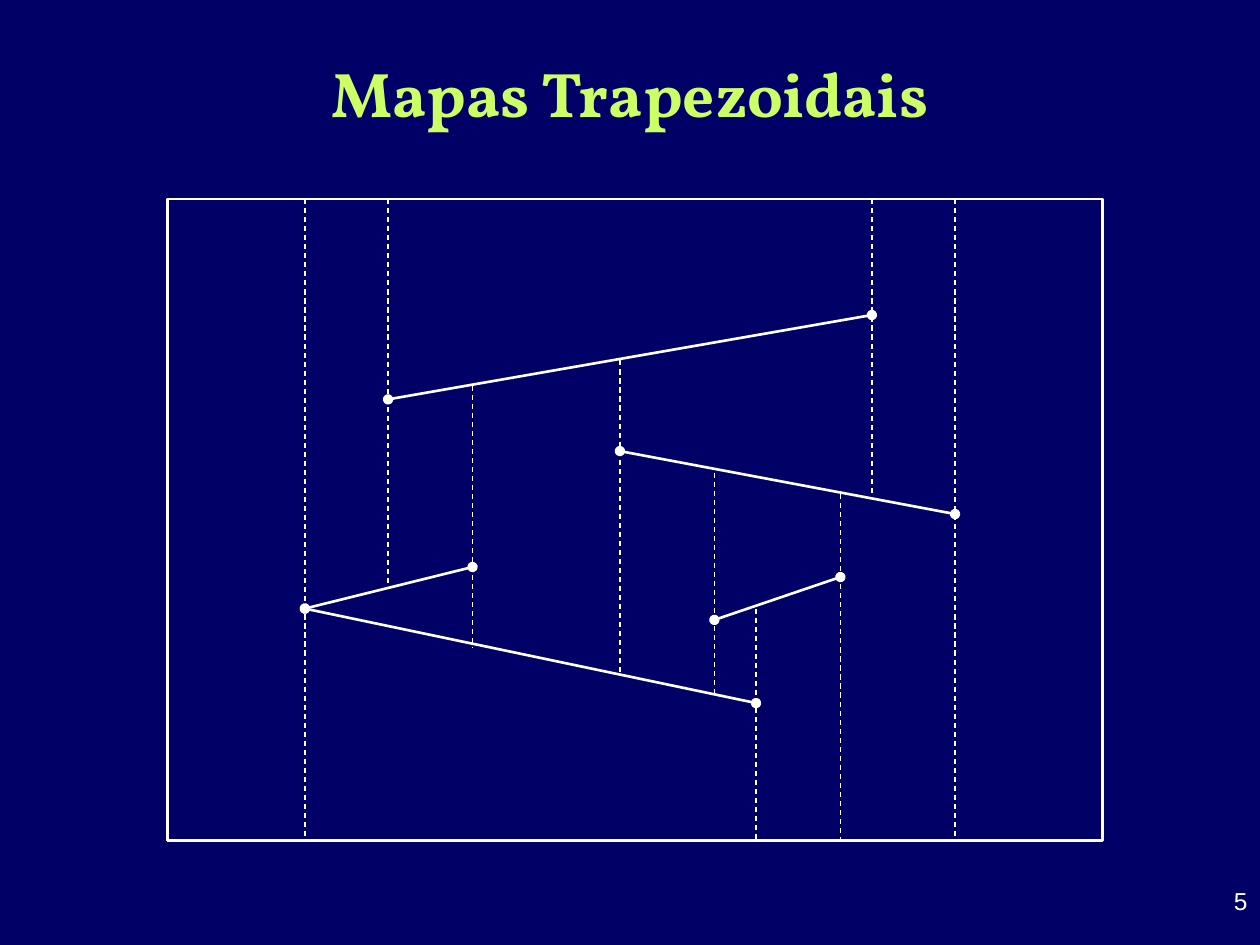
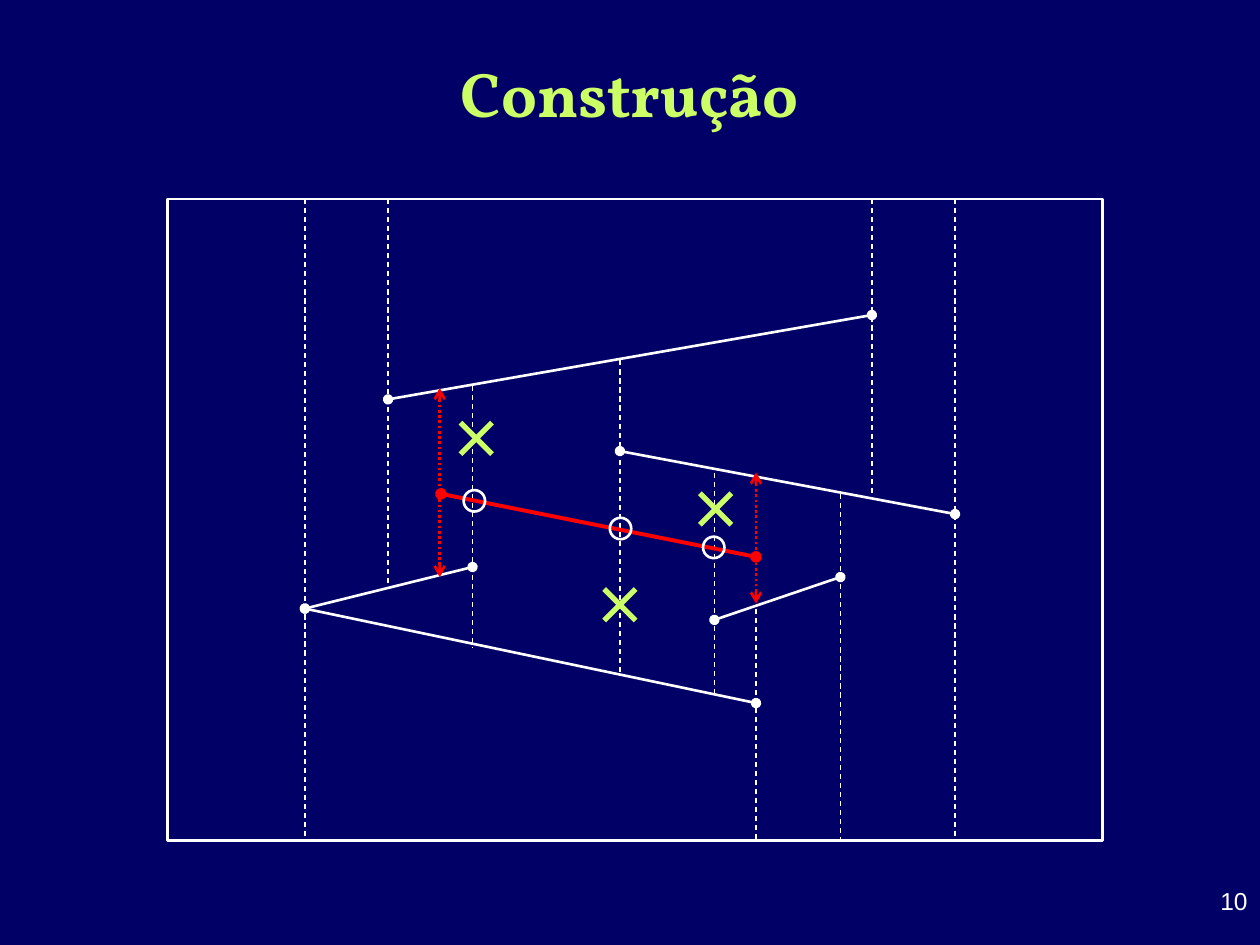
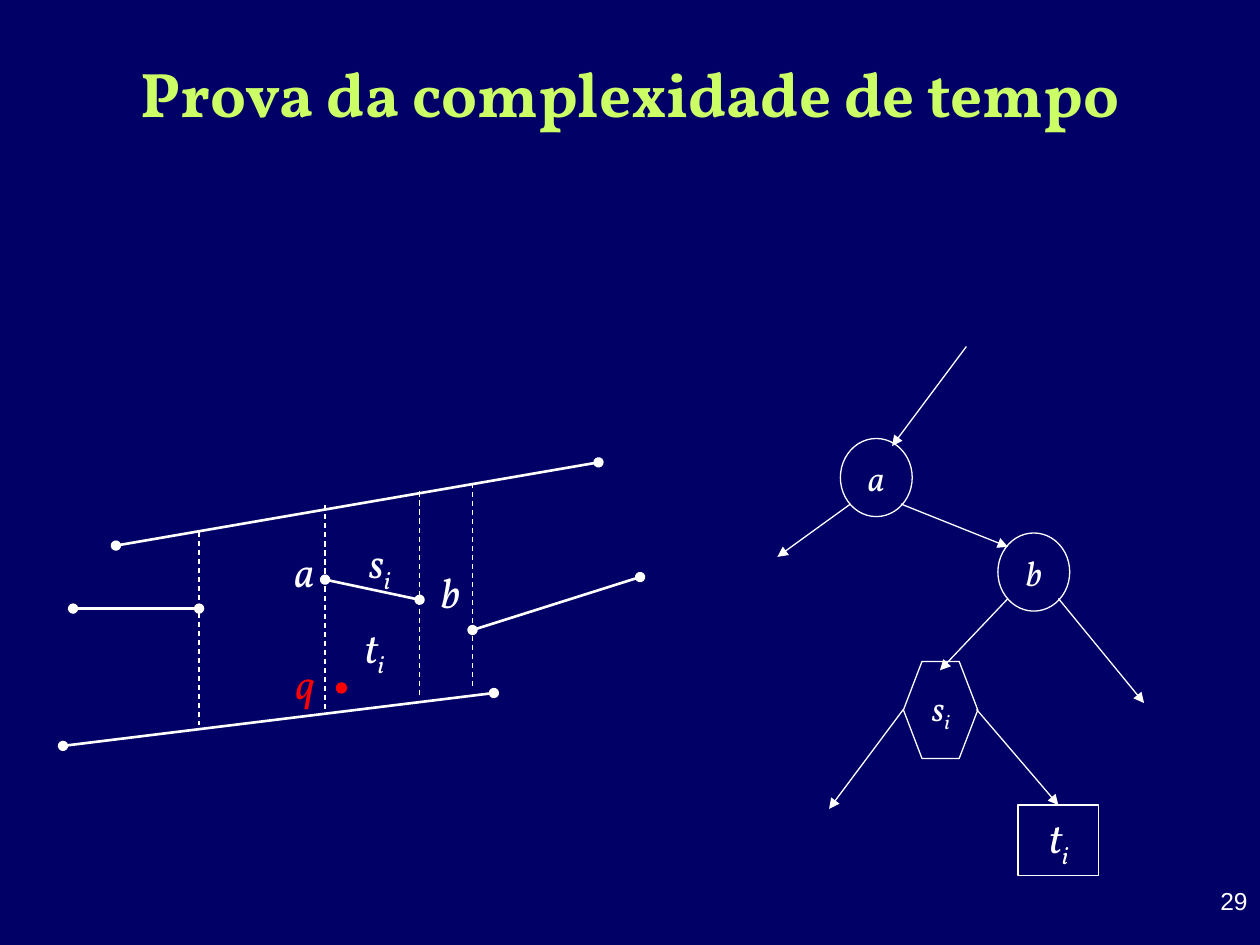
from lxml import etree
from pptx import Presentation
from pptx.dml.color import RGBColor
from pptx.enum.dml import MSO_LINE
from pptx.enum.shapes import MSO_CONNECTOR, MSO_SHAPE
from pptx.enum.text import MSO_ANCHOR, MSO_AUTO_SIZE, PP_ALIGN
from pptx.oxml.ns import qn
from pptx.util import Inches, Pt

STRAIGHT = MSO_CONNECTOR.STRAIGHT
DASH, DOTS = MSO_LINE.DASH, MSO_LINE.ROUND_DOT
RECT, OVAL, HEXAGON = MSO_SHAPE.RECTANGLE, MSO_SHAPE.OVAL, MSO_SHAPE.HEXAGON
CENTER, RIGHT = PP_ALIGN.CENTER, PP_ALIGN.RIGHT
TOP, MIDDLE = MSO_ANCHOR.TOP, MSO_ANCHOR.MIDDLE
GROW = MSO_AUTO_SIZE.SHAPE_TO_FIT_TEXT
TOP_SIDE = 0

COLORS = {"navy": "000066", "lime": "CCFF66", "white": "FFFFFF", "red": "FF0000"}
SERIF, SANS = "Vollkorn", "Arial"

FRAME_TOP, FRAME_BOTTOM = 1.58, 6.67
MAP_SEGMENTS = [
    ((3.08, 3.17), (6.92, 2.5)),
    ((4.92, 3.58), (7.58, 4.08)),
    ((3.75, 4.5), (2.42, 4.83)),
    ((2.42, 4.83), (6, 5.58)),
    ((5.67, 4.92), (6.67, 4.58)),
]
MAP_WALLS = [
    (2.42, FRAME_TOP, FRAME_BOTTOM),
    (3.08, FRAME_TOP, 4.67),
    (3.75, 3.06, 5.14),
    (4.92, 2.86, 5.36),
    (6.92, FRAME_TOP, 3.92),
    (5.67, 3.75, 5.5),
    (6, 4.83, FRAME_BOTTOM),
    (6.67, 3.92, FRAME_BOTTOM),
    (7.58, FRAME_TOP, FRAME_BOTTOM),
]


def rgb(color):
    return RGBColor.from_string(COLORS[color])


def add_line(shapes, start, end, color="white", width=0.75, dash=None, head=None, tail=None):
    line = shapes.add_connector(STRAIGHT, *(Inches(v) for v in (*start, *end)))
    line.line.color.rgb = rgb(color)
    line.line.width = Pt(width)
    if dash:
        line.line.dash_style = dash
    properties = line._element.spPr
    outline = properties.find(qn("a:ln"))
    for tag, kind in (("a:headEnd", head), ("a:tailEnd", tail)):
        if kind:
            etree.SubElement(outline, qn(tag), type=kind)
    etree.SubElement(properties, qn("a:effectLst"))
    return line


def add_segment(slide, start, end, color="white", width=1.5):
    """Line segment with a dot at both endpoints."""
    add_line(slide.shapes, start, end, color, width, head="oval", tail="oval")


def add_wall(slide, x, top, bottom):
    """Dashed vertical side of a trapezoid."""
    add_line(slide.shapes, (x, top), (x, bottom), dash=DASH)


def add_arrow(slide, start, end):
    return add_line(slide.shapes, start, end, tail="triangle")


def add_outline(slide, kind, left, top, width, height, weight=0.75, color="white", fill=None):
    shape = slide.shapes.add_shape(kind, Inches(left), Inches(top), Inches(width), Inches(height))
    shape.shadow.inherit = False
    if fill:
        shape.fill.solid()
        shape.fill.fore_color.rgb = rgb(fill)
    else:
        shape.fill.background()
    shape.line.color.rgb = rgb(color)
    shape.line.width = Pt(weight)
    return shape


def write(shape, text, size, subscript="", color="white", font=SERIF, align=CENTER,
          anchor=MIDDLE, wrap=True, bold=False, italic=False):
    frame = shape.text_frame
    frame.word_wrap = wrap
    frame.vertical_anchor = anchor
    paragraph = frame.paragraphs[0]
    paragraph.alignment = align
    for part, baseline in ((text, None), (subscript, "-25000")):
        if not part:
            continue
        run = paragraph.add_run()
        run.text = part
        run.font.name = font
        run.font.size = Pt(size)
        run.font.bold = bold
        run.font.italic = italic
        run.font.color.rgb = rgb(color)
        if baseline:
            run._r.get_or_add_rPr().set("baseline", baseline)


def add_text_box(slide, left, top, width, height):
    return slide.shapes.add_textbox(Inches(left), Inches(top), Inches(width), Inches(height))


def add_label(slide, left, top, width, height, text, subscript="", color="white"):
    """Italic name of a point, segment or trapezoid, sized to its text."""
    label = add_text_box(slide, left, top, width, height)
    write(label, text, 24, subscript, color, anchor=TOP, wrap=False, italic=True)
    label.text_frame.auto_size = GROW


def add_node(slide, kind, left, top, width, height, text, subscript="", size=20):
    """Node of the search structure."""
    node = add_outline(slide, kind, left, top, width, height)
    write(node, text, size, subscript, italic=True)
    node.text_frame.auto_size = GROW
    return node


def add_cross(slide, x, y, half=0.125):
    """Mark on a wall that is to be removed, centred on x, y."""
    cross = slide.shapes.add_group_shape()
    for side in (-half, half):
        add_line(cross.shapes, (x + side, y + half), (x - side, y - half), "lime", 3)


def add_slide(prs, title, number):
    slide = prs.slides.add_slide(prs.slide_layouts[6])
    write(add_text_box(slide, 0.5, 0.3, 9, 0.87), title, 36, color="lime", bold=True)
    write(add_text_box(slide, 9, 6.98, 1, 0.52), str(number), 14, font=SANS,
          align=RIGHT, anchor=TOP)
    return slide


def add_trapezoidal_map(slide):
    for start, end in MAP_SEGMENTS:
        add_segment(slide, start, end)
    add_outline(slide, RECT, 1.33, FRAME_TOP, 7.42, FRAME_BOTTOM - FRAME_TOP, weight=1.5)
    for wall in MAP_WALLS:
        add_wall(slide, *wall)


def add_inserted_segment(slide):
    add_segment(slide, (3.5, 3.92), (6, 4.42), "red", 2.25)
    for left, top in ((3.68, 3.89), (4.84, 4.11), (5.58, 4.26)):
        add_outline(slide, OVAL, left, top, 0.17, 0.17, weight=1.5)
    for x, top, bottom in ((3.49, 3.08, 4.58), (6, 3.75, 4.79)):
        add_line(slide.shapes, (x, top), (x, bottom), "red", 1.5, DOTS, "arrow", "arrow")
    for x, y in ((5.68, 4.04), (3.78, 3.48), (4.92, 4.8)):
        add_cross(slide, x, y)


def add_query_map(slide):
    for start, end in (
        ((0.92, 4.33), (4.75, 3.67)),
        ((3.75, 5), (5.08, 4.58)),
        ((1.58, 4.83), (0.58, 4.83)),
        ((0.5, 5.92), (3.92, 5.5)),
        ((3.33, 4.76), (2.58, 4.6)),
    ):
        add_segment(slide, start, end)
    for wall in ((1.58, 4.22, 5.75), (3.75, 3.83, 5.47), (2.58, 4.01, 5.65), (3.33, 3.9, 5.54)):
        add_wall(slide, *wall)
    add_label(slide, 2.79, 4.88, 0.36, 0.56, "t", "i")
    add_label(slide, 2.82, 4.21, 0.38, 0.56, "s", "i")
    add_label(slide, 2.24, 4.28, 0.35, 0.5, "a")
    add_label(slide, 3.4, 4.45, 0.35, 0.5, "b")
    add_outline(slide, OVAL, 2.67, 5.42, 0.08, 0.08, color="red", fill="red")
    add_label(slide, 2.25, 5.17, 0.35, 0.5, "q", color="red")


def add_search_path(slide):
    add_node(slide, OVAL, 6.67, 3.48, 0.57, 0.62, "a")
    add_node(slide, OVAL, 7.92, 4.23, 0.57, 0.62, "b")
    add_node(slide, HEXAGON, 7.17, 5.25, 0.59, 0.77, "s", "i")
    leaf = add_node(slide, RECT, 8.08, 6.39, 0.64, 0.56, "t", "i", size=24)
    for start, end in (
        ((7.67, 2.75), (7.08, 3.54)),
        ((6.75, 4), (6.17, 4.42)),
        ((7.15, 4), (8, 4.34)),
        ((8, 4.75), (7.46, 5.32)),
        ((8.4, 4.75), (9.08, 5.58)),
        ((7.17, 5.63), (6.58, 6.42)),
    ):
        add_arrow(slide, start, end)
    add_arrow(slide, (7.75, 5.63), (8.4, 6.39)).end_connect(leaf, TOP_SIDE)


def main():
    prs = Presentation()
    prs.slide_width, prs.slide_height = Inches(10), Inches(7.5)
    background = prs.slide_master.background.fill
    background.solid()
    background.fore_color.rgb = rgb("navy")

    add_trapezoidal_map(add_slide(prs, "Mapas Trapezoidais", 5))

    construction = add_slide(prs, "Construção", 10)
    add_trapezoidal_map(construction)
    add_inserted_segment(construction)

    proof = add_slide(prs, "Prova da complexidade de tempo", 29)
    add_query_map(proof)
    add_search_path(proof)

    prs.save("out.pptx")


if __name__ == "__main__":
    main()
